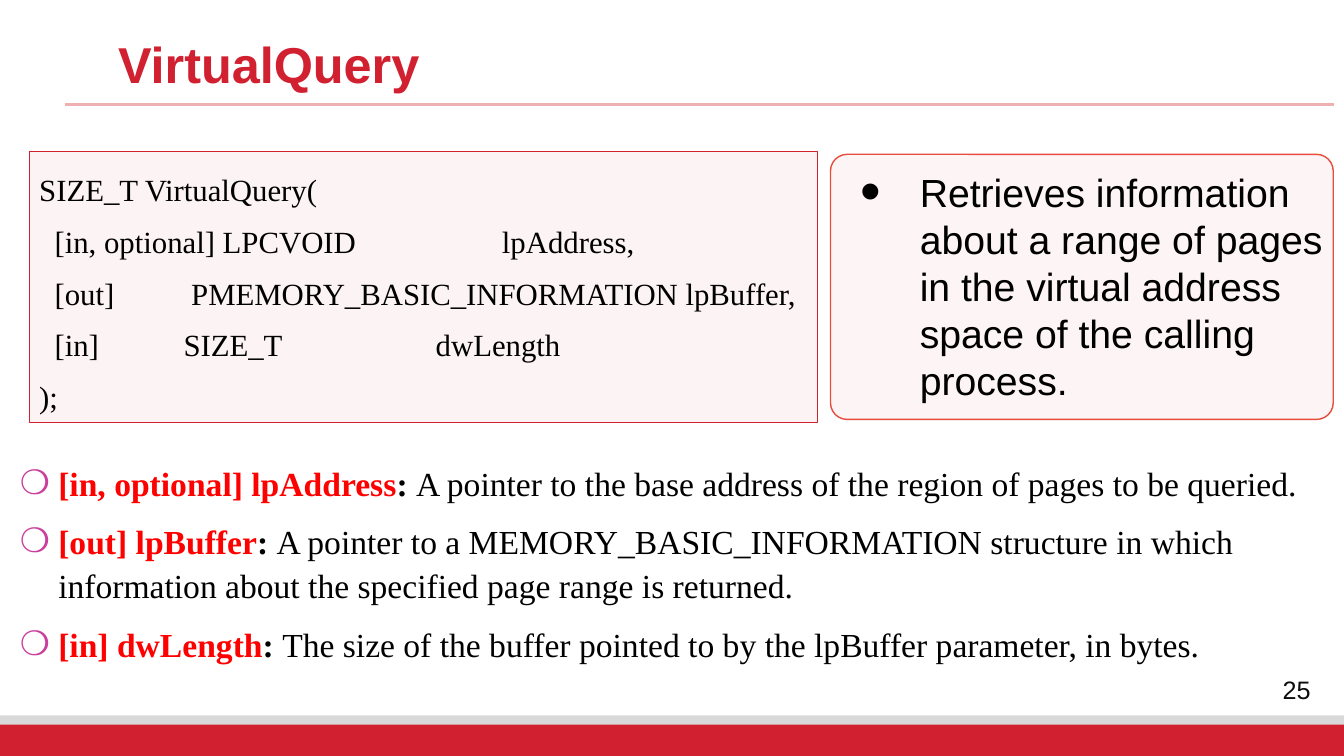
"""Build the VirtualQuery reference slide."""
from dataclasses import dataclass

from lxml import etree
from pptx import Presentation
from pptx import util as u
from pptx.dml.color import RGBColor
from pptx.enum import shapes, text
from pptx.oxml.ns import qn

RED, CORAL, BLACK = "D1202F", "E74C3C", "000000"
SANS, SERIF = "Arial", "Times New Roman"
WIDE = 33.87


@dataclass
class Panel:
    kind: int
    box: tuple
    fill: str
    alpha: int = 100
    line: float = 0


@dataclass
class Bullet:
    char: str
    left: float
    hang: float
    color: str = BLACK
    size: int = 100


@dataclass
class Param:
    name: str
    desc: str


PANELS = [
    Panel(shapes.MSO_SHAPE.RECTANGLE, (0, 18.03, WIDE, 1.02), "D9D9D9"),
    Panel(shapes.MSO_SHAPE.RECTANGLE, (0, 18.26, WIDE, 0.79), RED),
    Panel(shapes.MSO_SHAPE.ROUNDED_RECTANGLE, (20.93, 3.89, 12.67, 6.68), CORAL, 5, 1),
]
CODE = """SIZE_T VirtualQuery(
  [in, optional] LPCVOID                   lpAddress,
  [out]          PMEMORY_BASIC_INFORMATION lpBuffer,
  [in]           SIZE_T                    dwLength
);"""
PARAMS = [
    Param("[in, optional] lpAddress",
          "A pointer to the base address of the region of pages to be queried."),
    Param("[out] lpBuffer",
          "A pointer to a MEMORY_BASIC_INFORMATION structure in which "
          "information about the specified page range is returned."),
    Param("[in] dwLength",
          "The size of the buffer pointed to by the lpBuffer parameter, in bytes."),
]
NOTE = ("Retrieves information about a range of pages in the virtual "
        "address space of the calling process.")


def paint(target, color: str) -> None:
    target.rgb = RGBColor.from_string(color)


def sub(node, tag: str, **attrs):
    return etree.SubElement(node, qn(tag), attrs)


def place(shape, box: tuple) -> None:
    shape.left, shape.top, shape.width, shape.height = map(u.Cm, box)


def draw(slide, panel: Panel):
    shape = slide.shapes.add_shape(panel.kind, *map(u.Cm, panel.box))
    shape.shadow.inherit = False
    shape.fill.solid()
    paint(shape.fill.fore_color, panel.fill)
    if panel.alpha < 100:
        tint = shape.fill._xPr.find(qn("a:solidFill"))[0]
        sub(tint, "a:alpha", val=str(panel.alpha * 1000))
    if panel.line:
        paint(shape.line.color, panel.fill)
        shape.line.width = u.Pt(panel.line)
    else:
        shape.line.fill.background()
    return shape


def mark(para, bullet: Bullet) -> None:
    props = para._p.get_or_add_pPr()
    props.set("marL", str(u.Cm(bullet.left)))
    props.set("indent", str(-u.Cm(bullet.hang)))
    sub(sub(props, "a:buClr"), "a:srgbClr", val=bullet.color)
    sub(props, "a:buSzPct", val=str(bullet.size * 1000))
    sub(props, "a:buFont", typeface=SANS)
    sub(props, "a:buChar", char=bullet.char)


def write(shape, paras: list, *, size: float, font: str = SANS,
          align=text.PP_ALIGN.LEFT, anchor=text.MSO_ANCHOR.TOP,
          space: float = 1.0, after: float = 0, bullet: Bullet | None = None) -> None:
    frame = shape.text_frame
    frame.word_wrap = True
    frame.auto_size = text.MSO_AUTO_SIZE.NONE
    frame.vertical_anchor = anchor
    for num, runs in enumerate(paras):
        para = frame.add_paragraph() if num else frame.paragraphs[0]
        if bullet:
            mark(para, bullet)
        para.alignment = align
        para.line_spacing = space
        para.space_before, para.space_after = u.Pt(0), u.Pt(after)
        for words, color, bold in runs:
            run = para.add_run()
            run.text = words
            run.font.name, run.font.size, run.font.bold = font, u.Pt(size), bold
            paint(run.font.color, color)


def label(slide, box: tuple):
    return slide.shapes.add_textbox(*map(u.Cm, box))


def rule(slide) -> None:
    line = slide.shapes.add_connector(
        shapes.MSO_CONNECTOR.STRAIGHT, *map(u.Cm, (1.63, 2.64, 33.63, 2.64)))
    paint(line.line.color, "EFB0B2")
    line.line.width = u.Pt(2.25)
    sub(line._element.spPr, "a:effectLst")


def main() -> None:
    deck = Presentation()
    deck.slide_width, deck.slide_height = u.Cm(WIDE), u.Cm(19.05)
    slide = deck.slides.add_slide(deck.slide_layouts[5])
    title = slide.shapes.title
    place(title, (2.72, 0.89, 28.88, 1.22))
    write(title, [[("VirtualQuery", RED, True)]], size=36, space=0.9)

    for panel in PANELS:
        draw(slide, panel).adjustments
    slide.shapes[-1].adjustments[0] = 0.063
    rule(slide)
    write(label(slide, (31.52, 16.89, 2.31, 0.99)), [[("25", "0D0D0D", False)]],
          size=18, align=text.PP_ALIGN.CENTER, anchor=text.MSO_ANCHOR.MIDDLE)

    code = draw(slide, Panel(shapes.MSO_SHAPE.RECTANGLE,
                             (0.74, 3.81, 19.86, 6.83), RED, 5, 0.75))
    write(code, [[(row, BLACK, False)] for row in CODE.splitlines()],
          size=22, font=SERIF, space=1.4)
    write(label(slide, (20.93, 4.11, 12.67, 6.25)), [[(NOTE, BLACK, False)]],
          size=28, bullet=Bullet("•", 2, 1.5, size=150))
    write(label(slide, (0.25, 11.43, 33.32, 6.02)),
          [[(item.name, "FF0000", True), (": ", BLACK, True), (item.desc, BLACK, False)]
           for item in PARAMS],
          size=24, font=SERIF, space=1.1, after=10,
          bullet=Bullet("❍", 0.97, 0.97, "CA3E9D"))
    deck.save("out.pptx")


if __name__ == "__main__":
    main()
